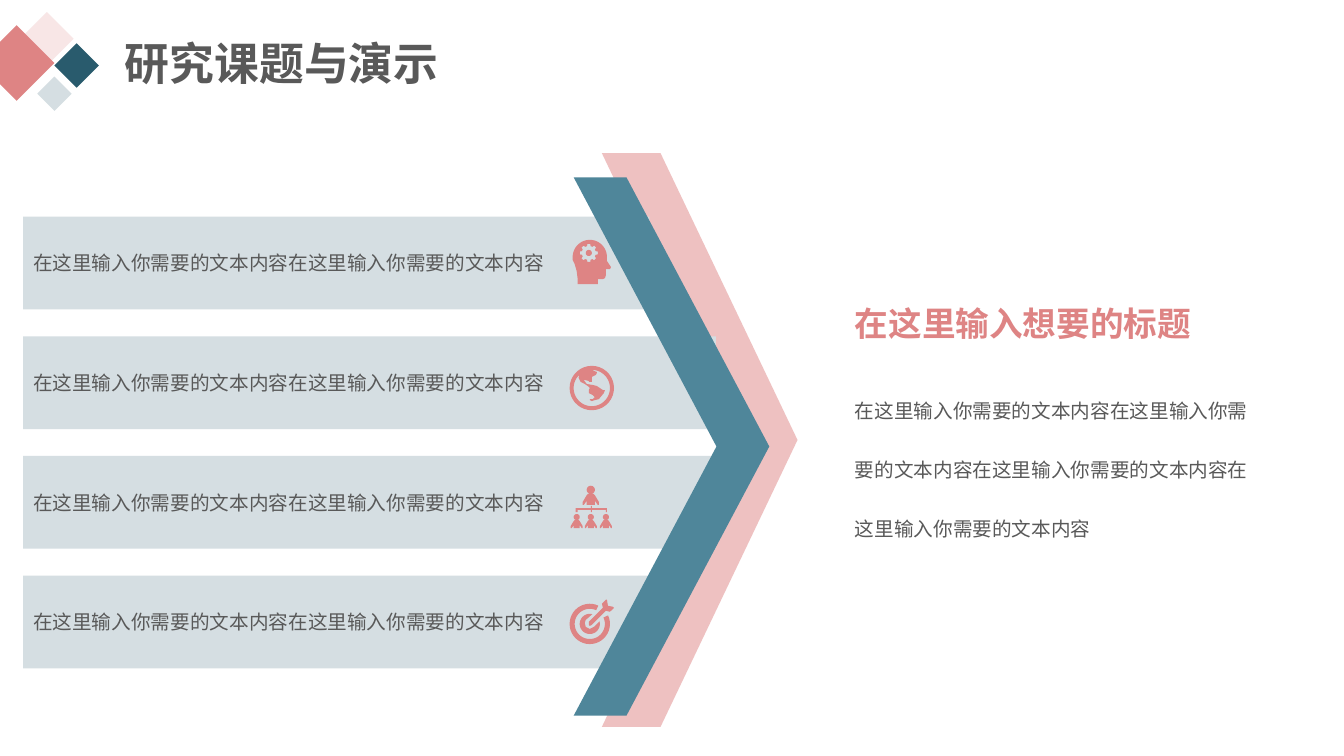
"""Build a slide with four topic bars pointing through a chevron to a conclusion."""
from math import cos, radians, sin

from lxml.etree import SubElement
from pptx import Presentation
from pptx.dml.color import RGBColor
from pptx.enum.shapes import MSO_SHAPE
from pptx.enum.text import MSO_ANCHOR, MSO_AUTO_SIZE, PP_ALIGN
from pptx.oxml.ns import qn
from pptx.util import Inches, Pt

COLOURS = {
    "pink": "DE8484",
    "blush": "F8E6E6",
    "teal": "4F869A",
    "navy": "295B6D",
    "mist": "D5DEE2",
    "text": "595959",
}
FONT = "Noto Sans CJK SC"
PHRASE = "在这里输入你需要的文本内容"

DIAMONDS = [
    (0.54, 0.43, 0.44, "navy"),
    (0.2, 0.12, 0.53, "blush"),
    (-0.21, 0.25, 0.75, "pink"),
    (0.37, 0.76, 0.34, "mist"),
]
BAR_WIDTHS = [6.21, 6.87, 6.87, 6.21]
BAR_TOP, BAR_PITCH = 2.15, 3.56 / 3

FACE = [
    (6.02, 2.59), (6.06, 2.65), (6.05, 2.67), (6.01, 2.67), (6.01, 2.73),
    (6, 2.76), (5.98, 2.77), (5.93, 2.77), (5.93, 2.82), (5.73, 2.82),
    (5.73, 2.77), (5.72, 2.69), (5.7, 2.62), (5.68, 2.58),
]
COAST = [
    (5.74, 3.75), (5.76, 3.79), (5.8, 3.81), (5.83, 3.83), (5.85, 3.85),
    (5.84, 3.87), (5.84, 3.9), (5.88, 3.92), (5.9, 3.94), (5.88, 3.96),
    (5.85, 3.96), (5.85, 3.97), (5.87, 3.98), (5.9, 3.97), (5.94, 3.96),
    (5.99, 3.9), (6, 3.87), (5.98, 3.87), (5.95, 3.85), (5.92, 3.83),
    (5.88, 3.82), (5.82, 3.81), (5.79, 3.77), (5.8, 3.77), (5.84, 3.78),
    (5.84, 3.79), (5.87, 3.79), (5.87, 3.74), (5.91, 3.72), (5.92, 3.7),
    (5.92, 3.69), (5.89, 3.68), (5.88, 3.67),
]
BRANCHES = [
    (5.86, 5.02), (5.87, 5.02), (5.87, 5.04), (6.02, 5.04), (6.02, 5.08),
    (6.01, 5.08), (6.01, 5.06), (5.87, 5.06), (5.87, 5.08), (5.86, 5.08),
    (5.86, 5.06), (5.73, 5.06), (5.73, 5.08), (5.71, 5.08), (5.71, 5.04),
    (5.86, 5.04),
]
HALF_BODY = [
    (0.02, 0), (0.03, 0.01), (0.06, 0.06), (0.06, 0.08), (0.05, 0.08),
    (0.03, 0.05), (0.03, 0.08),
]
ARROW = [
    (6.02, 5.95), (6.03, 6.01), (6.08, 6.02), (6.09, 6.03), (6.05, 6.07),
    (6.01, 6.06), (5.87, 6.2), (5.85, 6.21), (5.84, 6.2), (5.84, 6.17),
    (5.98, 6.03), (5.97, 5.99), (6.01, 5.95),
]
BULLSEYE_SLOT = [
    (5.81, 6.15), (5.8, 6.18), (5.81, 6.22), (5.85, 6.24), (5.89, 6.22),
]


def arc(x, y, radius, start=0, end=360, steps=36):
    """Return points along an arc, with angles in degrees clockwise from the right."""
    angles = [radians(start + (end - start) * step / steps) for step in range(steps + 1)]
    return [(x + radius * cos(angle), y + radius * sin(angle)) for angle in angles]


def gear(x, y, inner, outer, teeth=8):
    """Return the outline of a gear wheel."""
    points = []
    for tooth in range(teeth):
        centre = tooth * 360 / teeth
        for offset, radius in ((-15, inner), (-9, outer), (9, outer), (15, inner)):
            angle = radians(centre + offset)
            points.append((x + radius * cos(angle), y + radius * sin(angle)))
    return points


def person(x, neck, scale=1):
    """Return the head and body outlines of a small figure."""
    right = [(x + across * scale, neck + down * scale) for across, down in HALF_BODY]
    left = [(2 * x - across, down) for across, down in reversed(right)]
    return [arc(x, neck - 0.03 * scale, 0.03 * scale), right + left]


def paint(shape, colour, opacity=None):
    """Give a shape a flat fill with no line or shadow."""
    shape.shadow.inherit = False
    shape.fill.solid()
    shape.fill.fore_color.rgb = RGBColor.from_string(COLOURS[colour])
    shape.line.fill.background()
    if opacity is not None:
        tint = shape._element.spPr.find(qn("a:solidFill"))[0]
        SubElement(tint, qn("a:alpha"), val=str(opacity * 1000))


def add_block(shapes, preset, left, top, width, height, colour, opacity=None):
    """Add a filled preset shape."""
    block = shapes.add_shape(preset, Inches(left), Inches(top), Inches(width), Inches(height))
    paint(block, colour, opacity)
    return block


def add_chevron(slide, left, top, height, depth, colour, opacity=None):
    """Add a tall chevron pointing right."""
    chevron = add_block(slide.shapes, MSO_SHAPE.CHEVRON, left, top, 1.94, height, colour, opacity)
    chevron.adjustments[0] = depth


def write(shape, text, size, colour="text", bold=False, anchor=MSO_ANCHOR.TOP, spacing=None):
    """Write one left-aligned paragraph in a shape."""
    frame = shape.text_frame
    frame.word_wrap = True
    frame.vertical_anchor = anchor
    para = frame.paragraphs[0]
    para.text = text
    para.alignment = PP_ALIGN.LEFT
    if spacing:
        para.line_spacing = spacing
    para.font.name = FONT
    para.font.size = Pt(size)
    para.font.bold = bold
    para.font.color.rgb = RGBColor.from_string(COLOURS[colour])
    SubElement(para._p.pPr.find(qn("a:defRPr")), qn("a:ea"), typeface=FONT)


def add_text(slide, left, top, width, height, text, size, **style):
    """Add a text box holding one paragraph."""
    box = slide.shapes.add_textbox(Inches(left), Inches(top), Inches(width), Inches(height))
    write(box, text, size, **style)
    return box


def add_icon(slide, outlines):
    """Add one pink freeform made of closed outlines."""
    contours = [[(Inches(x), Inches(y)) for x, y in outline] for outline in outlines]
    builder = slide.shapes.build_freeform(*contours[0][0])
    for index, contour in enumerate(contours):
        if index:
            builder.move_to(*contour[0])
        builder.add_line_segments(contour[1:], close=True)
    paint(builder.convert_to_shape(), "pink")


def add_icons(slide):
    """Add the head, globe, team and target icons."""
    add_icon(slide, [arc(5.85, 2.55, 0.17, 180, 360) + FACE,
                     gear(5.84, 2.51, 0.07, 0.09), arc(5.84, 2.51, 0.03)])
    add_icon(slide, [arc(5.87, 3.85, 0.22),
                     arc(5.87, 3.85, 0.18, 90, 225) + COAST + arc(5.87, 3.85, 0.18, -90, 90)])
    team = person(5.86, 4.9, 1.35) + [BRANCHES]
    for x in (5.72, 5.86, 6.01):
        team += person(x, 5.16)
    add_icon(slide, team)
    ring = arc(5.85, 6.19, 0.2, -25, 295) + arc(5.85, 6.19, 0.15, 295, -25)
    add_icon(slide, [arc(5.85, 6.19, 0.1, -15, 285) + BULLSEYE_SLOT, ring, ARROW])


def main():
    """Build and save the deck."""
    deck = Presentation()
    deck.slide_width, deck.slide_height = Inches(13.33), Inches(7.5)
    slide = deck.slides.add_slide(deck.slide_layouts[6])

    add_chevron(slide, 5.97, 1.52, 5.69, 0.7, "pink", opacity=50)
    cluster = slide.shapes.add_group_shape()
    for left, top, side, colour in DIAMONDS:
        add_block(cluster.shapes, MSO_SHAPE.DIAMOND, left, top, side, side, colour)
    title = add_text(slide, 1.14, 0.31, 4.43, 0.64, "研究课题与演示", 32, bold=True)
    title.text_frame.auto_size = MSO_AUTO_SIZE.SHAPE_TO_FIT_TEXT

    for row, width in enumerate(BAR_WIDTHS):
        bar = add_block(slide.shapes, MSO_SHAPE.RECTANGLE, 0.23, BAR_TOP + row * BAR_PITCH,
                        width, 0.92, "mist")
        write(bar, PHRASE * 2, 14, anchor=MSO_ANCHOR.MIDDLE)
    add_chevron(slide, 5.69, 1.76, 5.34, 0.73, "teal")
    add_icons(slide)

    add_text(slide, 8.38, 2.48, 4.5, 0.97, "在这里输入想要的标题", 24,
             colour="pink", bold=True, anchor=MSO_ANCHOR.BOTTOM)
    add_text(slide, 8.38, 3.56, 4.18, 2.48, PHRASE * 4, 14, spacing=2.5)
    deck.save("out.pptx")


if __name__ == "__main__":
    main()
